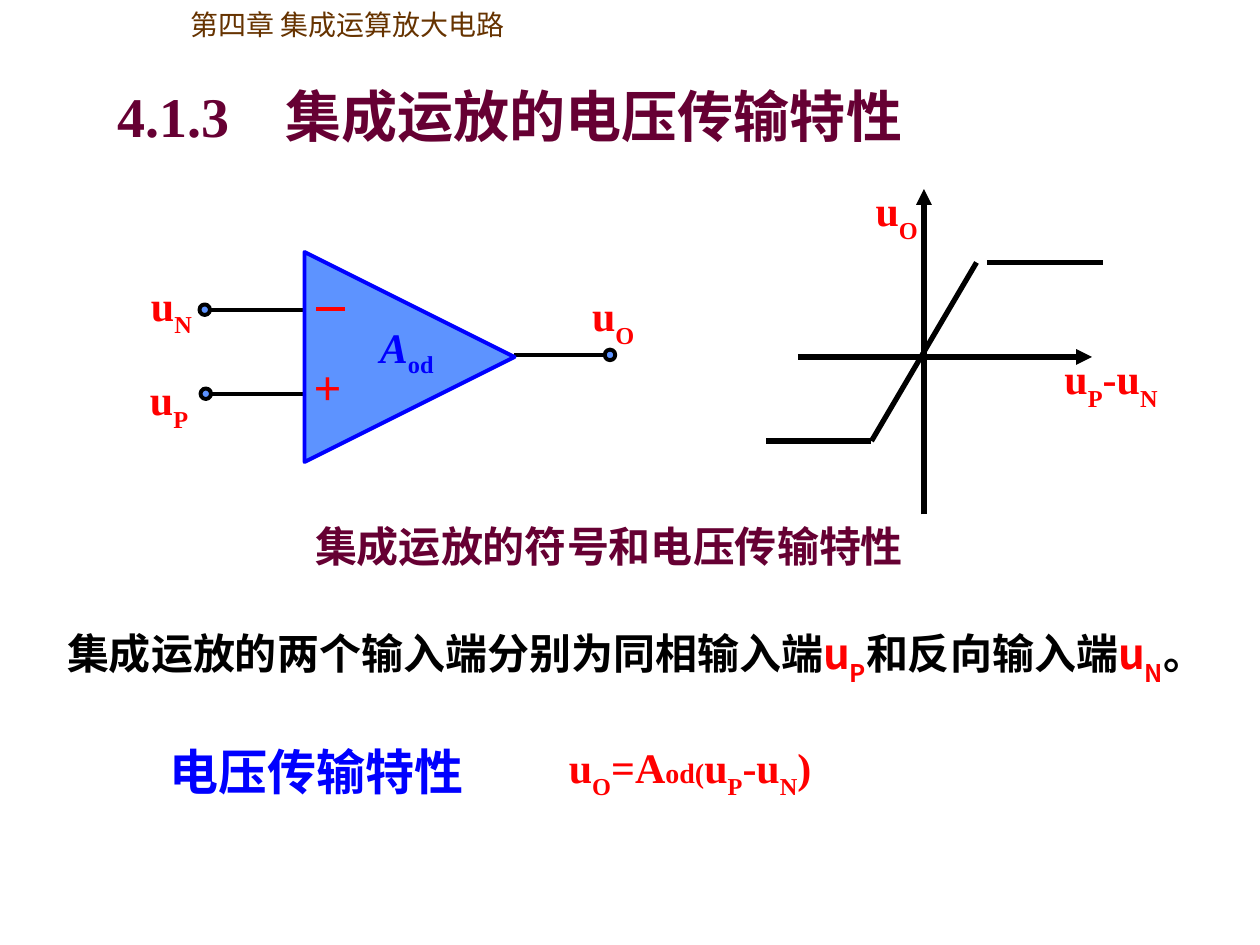
from dataclasses import dataclass

from lxml import etree
from pptx import Presentation
from pptx import util as u
from pptx.dml.color import RGBColor
from pptx.enum import shapes, text
from pptx.oxml import ns


@dataclass(frozen=True)
class Theme:
    """Colours, fonts and type sizes of the deck."""
    black: str = "000000"
    red: str = "FF0000"
    blue: str = "0000FF"
    sky: str = "5D93FF"
    plum: str = "660033"
    brown: str = "663300"
    serif: str = "Times New Roman"
    sans: str = "Noto Sans CJK SC"
    header_sans: str = "Noto Sans CJK JP"
    title: int = 32
    large: int = 28
    body: int = 24
    small: int = 16
    thin: float = 2.25
    thick: float = 3


class Painter:
    """Draws elements on a page whose grid has twelve cells to the inch."""

    def __init__(self, deck, page, theme):
        """Hold the deck, the page and the theme."""
        self.deck, self.page, self.theme = deck, page, theme

    def across(self, columns):
        """Convert grid columns to a length."""
        return round(self.deck.slide_width * columns / 120)

    def down(self, rows):
        """Convert grid rows to a length."""
        return round(self.deck.slide_height * rows / 90)

    def frame(self, left, top, width, height):
        """Convert a grid rectangle to lengths."""
        return self.across(left), self.down(top), self.across(width), self.down(height)

    def set_text(self, box, spans, color, size=None, font=None, bold=True, align="LEFT", wrap=True):
        """Fill a box with one paragraph, run by run."""
        frame = box.text_frame
        frame.word_wrap = wrap
        frame.auto_size = text.MSO_AUTO_SIZE.NONE
        frame.vertical_anchor = text.MSO_ANCHOR.TOP
        para = frame.paragraphs[0]
        para.alignment = text.PP_ALIGN[align]
        para.space_before = u.Pt(0)
        for words, style in spans:
            span = para.add_run()
            span.text = words
            span.font.size = u.Pt(style.get("size", size or self.theme.body))
            span.font.bold = bold
            span.font.italic = style.get("italic", False)
            span.font.color.rgb = RGBColor.from_string(style.get("color", color))
            span.font.name = font or self.theme.serif
            props = span._r.get_or_add_rPr()
            east = etree.SubElement(props, ns.qn("a:ea"))
            east.set("typeface", font or self.theme.sans)
            if "base" in style:
                props.set("baseline", str(style["base"] * 1000))

    def title(self, words, *cells):
        """Place and format the title placeholder."""
        box = self.page.shapes.title
        box.left, box.top, box.width, box.height = self.frame(*cells)
        self.set_text(box, [(words, {})], self.theme.plum, self.theme.title)

    def label(self, spans, cells, color, **style):
        """Add a text box."""
        box = self.page.shapes.add_textbox(*self.frame(*cells))
        self.set_text(box, spans, color, **style)

    def line(self, start, end, color=None, weight=None, arrow=False):
        """Add a straight line, with an arrowhead at its end if asked."""
        link = self.page.shapes.add_connector(
            shapes.MSO_CONNECTOR.STRAIGHT, self.across(start[0]), self.down(start[1]),
            self.across(end[0]), self.down(end[1]))
        link.line.color.rgb = RGBColor.from_string(color or self.theme.black)
        link.line.width = u.Pt(weight or self.theme.thin)
        if arrow:
            head = etree.SubElement(link._element.spPr.find(ns.qn("a:ln")), ns.qn("a:tailEnd"))
            head.set("type", "triangle")
        etree.SubElement(link._element.spPr, ns.qn("a:effectLst"))

    def shape(self, kind, cells, outline, rotation=0):
        """Add a filled preset shape."""
        item = self.page.shapes.add_shape(kind, *self.frame(*cells))
        item.shadow.inherit = False
        item.rotation = rotation
        item.fill.solid()
        item.fill.fore_color.rgb = RGBColor.from_string(self.theme.sky)
        item.line.color.rgb = RGBColor.from_string(outline)
        item.line.width = u.Pt(self.theme.thin)


def symbol(*pairs):
    """Return runs for voltages given as base and subscript pairs."""
    return [span for base, sub in pairs for span in ((base, {}), (sub, {"base": -30}))]


def draw_amplifier(painter):
    """Draw the amplifier symbol with its terminals."""
    theme = painter.theme
    for start, end, dot in (
        ((20, 29.5), (29, 29.5), (19, 29)),
        ((20, 37.5), (29, 37.5), (19.1, 37)),
        ((49, 33.8), (58, 33.8), (57.6, 33.3)),
    ):
        painter.line(start, end)
        painter.shape(shapes.MSO_SHAPE.OVAL, (*dot, 1, 1), theme.black)
    painter.shape(shapes.MSO_SHAPE.ISOSCELES_TRIANGLE, (29, 24, 20, 20), theme.blue, 90)
    painter.label([("+", {})], (28.7, 33.4, 11, 6.8), theme.red, size=theme.large)
    painter.line((30.1, 29.4), (32.9, 29.4), theme.red)
    painter.label([("A", {"italic": True}), ("od", {"base": -25})],
                  (35, 30, 8.4, 6.7), theme.blue)


def draw_curve(painter):
    """Draw the axes and the transfer curve."""
    for start, end, arrow in (
        ((76, 34), (104, 34), True),
        ((88, 49), (88, 18), True),
        ((83, 42), (93, 25), False),
        ((94, 25), (105, 25), False),
        ((73, 42), (83, 42), False),
    ):
        painter.line(start, end, weight=painter.theme.thick, arrow=arrow)


def main():
    """Build and save the deck."""
    theme = Theme()
    deck = Presentation()
    deck.slide_width, deck.slide_height = u.Inches(10), u.Inches(7.5)
    page = deck.slides.add_slide(deck.slide_layouts[5])
    painter = Painter(deck, page, theme)

    painter.label([("第四章 集成运算放大电路", {})], (17, 0.1, 40, 4.4), theme.brown,
                  size=theme.small, font=theme.header_sans, bold=False)
    painter.title("4.1.3　集成运放的电压传输特性", 10, 7.2, 80, 7.7)
    draw_amplifier(painter)
    draw_curve(painter)
    for pairs, left, top, width in (
        ([("u", "P")], 13.1, 35, 6),
        ([("u", "N")], 13.2, 26, 6.2),
        ([("u", "O")], 55.2, 27, 6.4),
        ([("u", "O")], 82.2, 17, 6.4),
        ([("u", "P"), ("-u", "N")], 100.2, 33, 11.3),
    ):
        painter.label(symbol(*pairs), (left, top, width, 6.8), theme.red, wrap=False)

    painter.label([("集成运放的符号和电压传输特性", {})], (10, 49, 96, 6), theme.plum,
                  align="CENTER")
    red, red_sub = {"color": theme.red}, {"color": theme.red, "base": -30}
    painter.label([("集成运放的两个输入端分别为同相输入端", {}), ("u", red), ("P", red_sub),
                   ("和反向输入端", {}), ("u", red), ("N", red_sub), ("。", {})],
                  (5.2, 59.2, 111, 6.8), theme.black, font=theme.sans)
    painter.label([("电压传输特性", {})], (15, 70, 38, 6.8), theme.blue, size=theme.large)
    painter.label([*symbol(("u", "O")), ("=A", {}), ("od(", {"size": theme.small}),
                   *symbol(("u", "P"), ("-u", "N")), (")", {})],
                  (53, 70, 39, 6.8), theme.red, align="JUSTIFY")
    deck.save("out.pptx")


if __name__ == "__main__":
    main()
